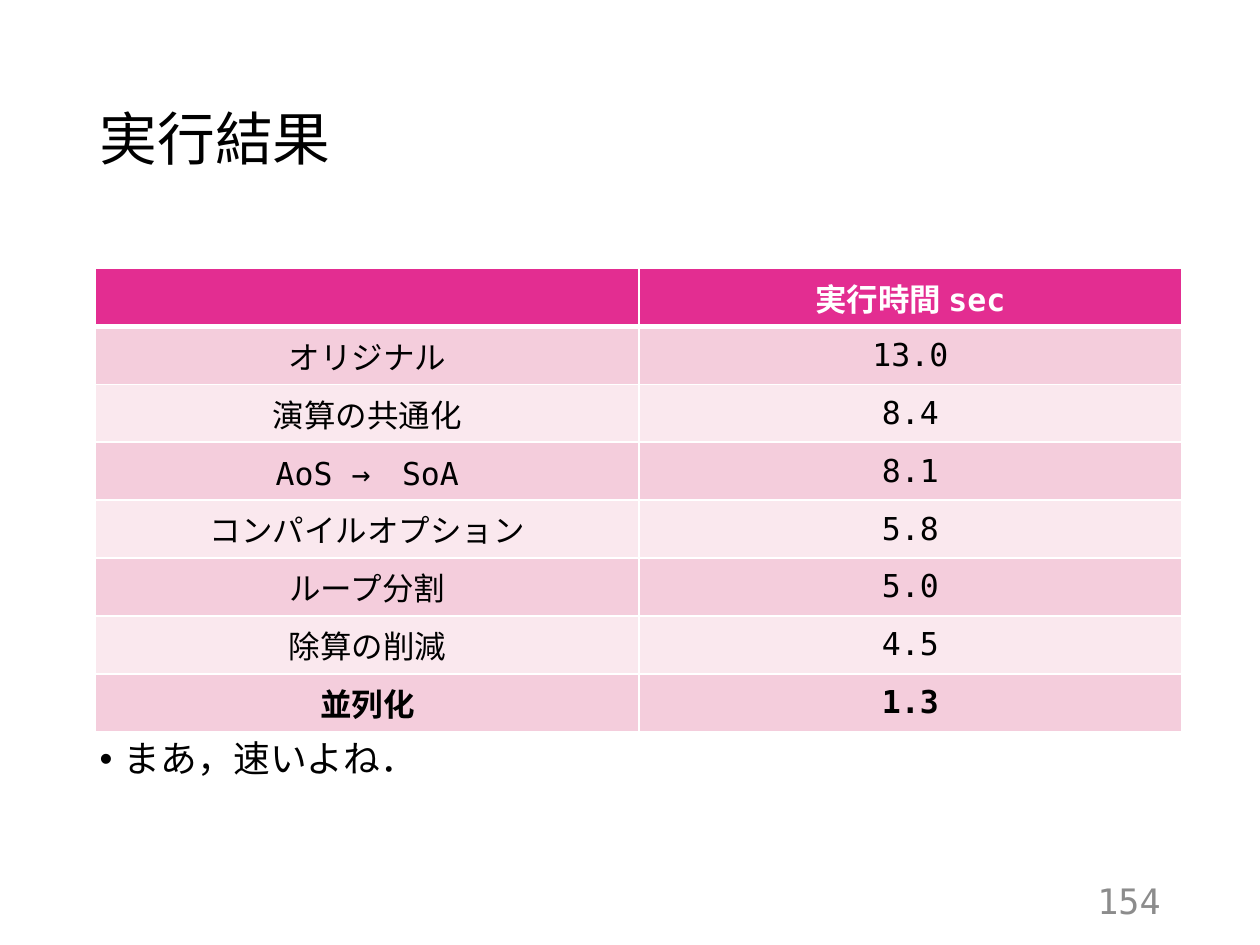
import pptx
import pptx.util
import pptx.dml.color
import pptx.enum.text
import pptx.oxml
import pptx.oxml.ns
from lxml import etree

Inches = pptx.util.Inches
Pt = pptx.util.Pt
ALIGN = pptx.enum.text.PP_ALIGN
MIDDLE = pptx.enum.text.MSO_ANCHOR.MIDDLE

HEADING = "実行結果"
REMARK = "まあ，速いよね．"
PAGE = "154"
TIMINGS = [
    ("", "実行時間 sec"),
    ("オリジナル", "13.0"),
    ("演算の共通化", "8.4"),
    ("AoS →　SoA", "8.1"),
    ("コンパイルオプション", "5.8"),
    ("ループ分割", "5.0"),
    ("除算の削減", "4.5"),
    ("並列化", "1.3"),
]
FONT = "DejaVu Sans Mono"
COLORS = {
    "text": "000000",
    "white": "FFFFFF",
    "page": "8C8C8C",
    "header": "E32D91",
    "odd": "F4CDDC",
    "even": "FAE8EE",
}
LEFT, WIDTH = 0.69, 8.62
ROW_HEIGHT = 0.46


def rgb(name):
    return pptx.dml.color.RGBColor.from_string(COLORS[name])


def place(shape, left, top, width, height):
    shape.left, shape.top = Inches(left), Inches(top)
    shape.width, shape.height = Inches(width), Inches(height)


def add_bullet(paragraph, char, indent):
    properties = paragraph._p.get_or_add_pPr()
    properties.set("marL", str(Inches(indent)))
    properties.set("indent", str(-Inches(indent)))
    etree.SubElement(properties, pptx.oxml.ns.qn("a:buFont"), typeface="Arial")
    etree.SubElement(properties, pptx.oxml.ns.qn("a:buChar"), char=char)


def write(frame, text, size, color, align, bold=False, spacing=None, bullet=None):
    frame.text = text
    paragraph = frame.paragraphs[0]
    if bullet:
        add_bullet(paragraph, bullet, 0.19)
    paragraph.alignment = align
    paragraph.space_before = Pt(0)
    if spacing:
        paragraph.line_spacing = spacing
    for font in [paragraph.font] + [run.font for run in paragraph.runs]:
        font.name = FONT
        font.size = Pt(size)
        font.bold = bold
        font.color.rgb = rgb(color)


def set_borders(cell, widths):
    properties = cell._tc.get_or_add_tcPr()
    for position, (side, width) in enumerate(widths.items()):
        line = pptx.oxml.parse_xml(
            f'<a:{side} {pptx.oxml.ns.nsdecls("a")} w="{Pt(width)}"><a:solidFill>'
            f'<a:srgbClr val="{COLORS["white"]}"/></a:solidFill></a:{side}>'
        )
        properties.insert(position, line)


def add_timings(slide):
    columns = len(TIMINGS[0])
    table = slide.shapes.add_table(
        len(TIMINGS), columns, Inches(0.76), Inches(2.13),
        Inches(WIDTH), Inches(ROW_HEIGHT * len(TIMINGS)),
    ).table
    for column in table.columns:
        column.width = Inches(WIDTH / columns)
    last = len(TIMINGS) - 1
    for r, entries in enumerate(TIMINGS):
        table.rows[r].height = Inches(ROW_HEIGHT)
        band = "header" if r == 0 else "odd" if r % 2 else "even"
        for c, entry in enumerate(entries):
            cell = table.cell(r, c)
            write(cell.text_frame, entry, 18, "text" if r else "white",
                  ALIGN.CENTER, bold=r in (0, last))
            cell.vertical_anchor = MIDDLE
            cell.fill.solid()
            cell.fill.fore_color.rgb = rgb(band)
            set_borders(cell, {"lnL": 1, "lnR": 1,
                               "lnT": 3 if r == 1 else 1,
                               "lnB": 3 if r == 0 else 1})


def main():
    deck = pptx.Presentation()
    deck.slide_width, deck.slide_height = Inches(10), Inches(7.5)
    slide = deck.slides.add_slide(deck.slide_layouts[1])

    title = slide.shapes.title
    place(title, LEFT, 0.4, WIDTH, 1.45)
    title.text_frame.vertical_anchor = MIDDLE
    write(title.text_frame, HEADING, 33, "text", ALIGN.LEFT, spacing=0.9)

    remark = slide.placeholders[1]
    place(remark, LEFT, 5.83, WIDTH, 0.93)
    write(remark.text_frame, REMARK, 21, "text", ALIGN.LEFT, spacing=0.9, bullet="•")

    page = slide.shapes.add_textbox(Inches(7.06), Inches(6.95), Inches(2.25), Inches(0.4))
    page.text_frame.word_wrap = True
    page.text_frame.vertical_anchor = MIDDLE
    write(page.text_frame, PAGE, 20, "page", ALIGN.RIGHT)

    add_timings(slide)
    deck.save("out.pptx")


if __name__ == "__main__":
    main()
